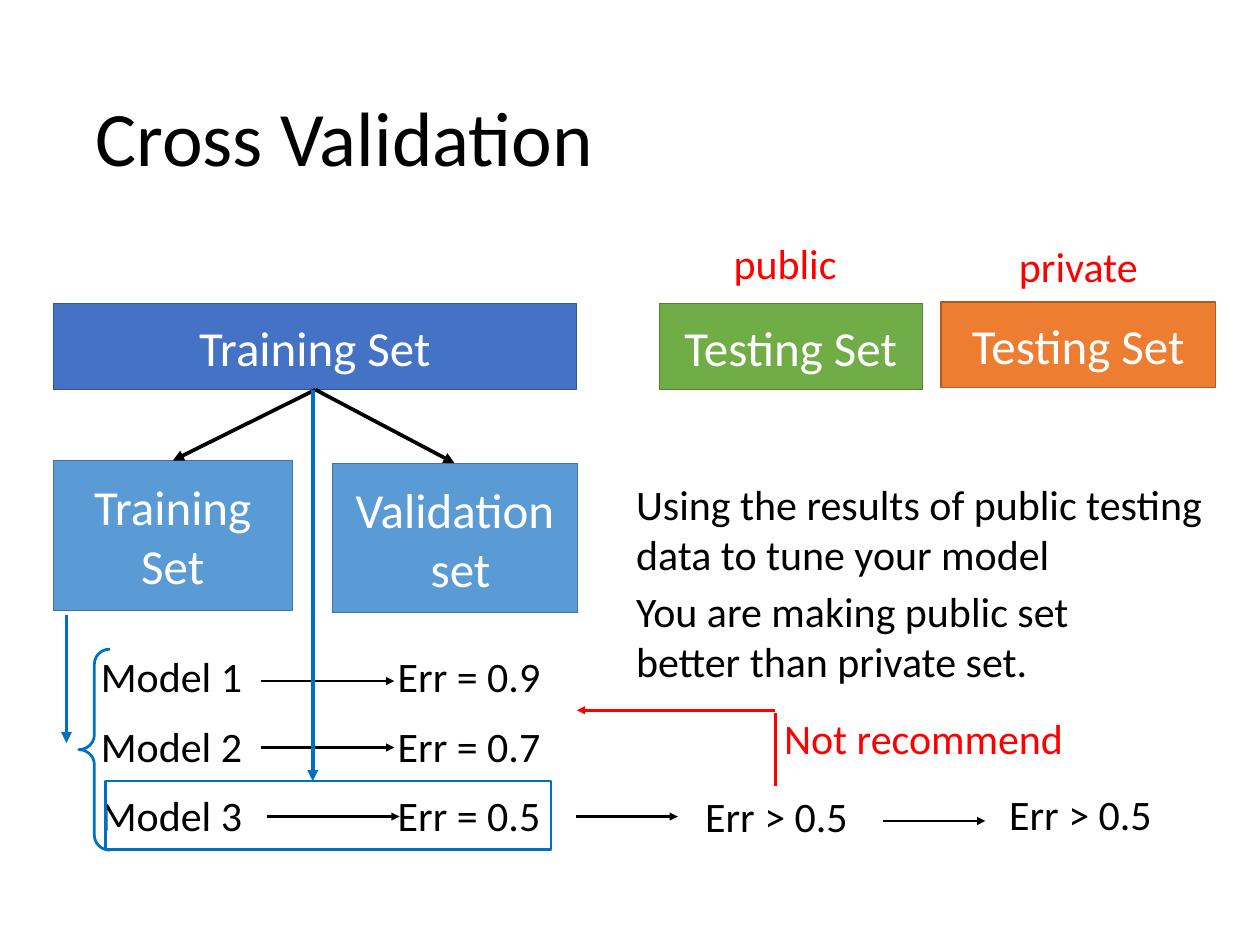
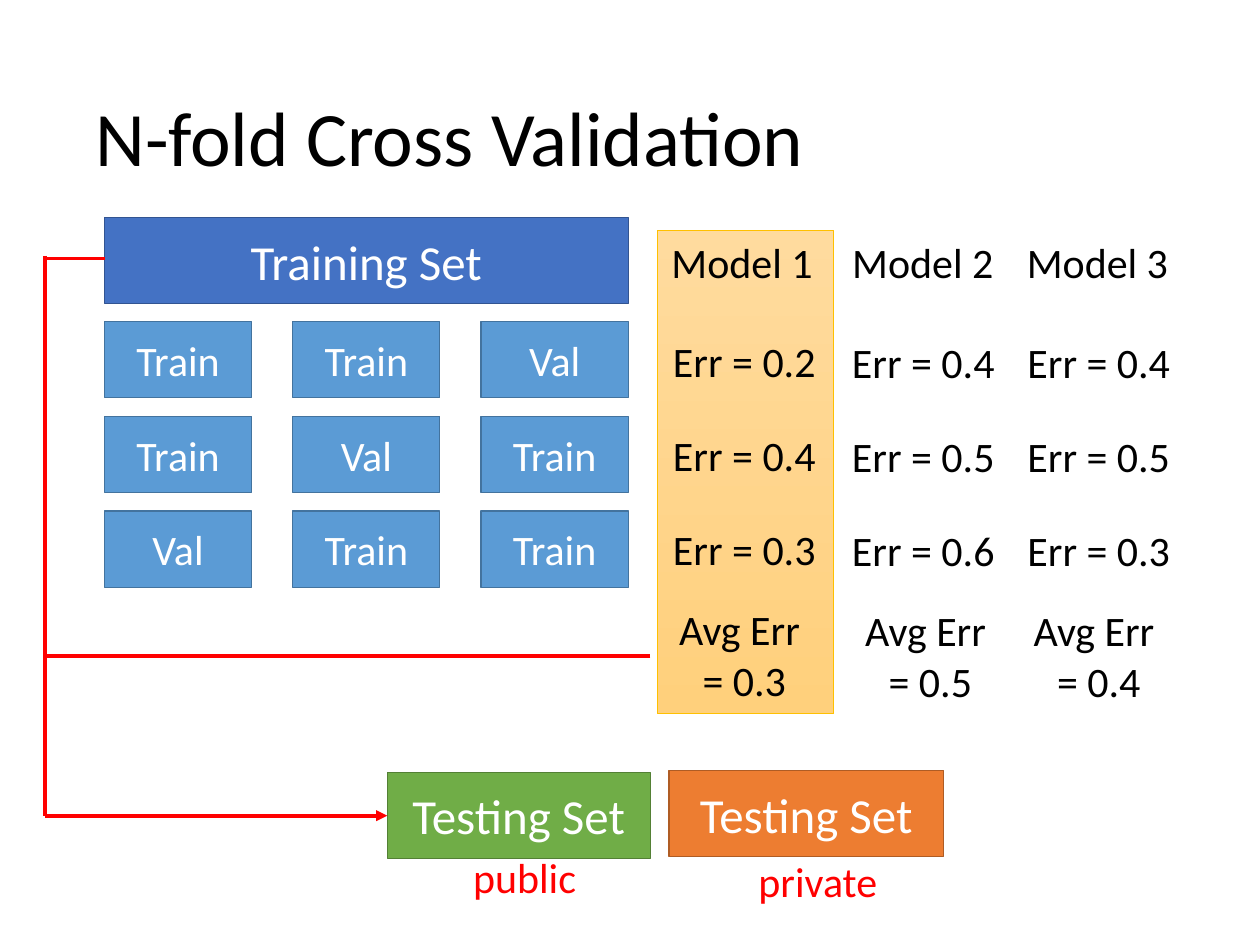
from dataclasses import dataclass
from typing import Optional

from lxml.etree import SubElement
from pptx import Presentation
from pptx.dml.color import RGBColor
from pptx.enum.shapes import MSO_CONNECTOR, MSO_SHAPE
from pptx.enum.text import MSO_ANCHOR, PP_ALIGN
from pptx.oxml.ns import qn
from pptx.shapes.autoshape import Shape
from pptx.slide import Slide
from pptx.text.text import TextFrame
from pptx.util import Emu, Inches, Pt

# Grid: square cells, counted in columns and rows from the top left
CELL = Inches(1)
COLUMNS, ROWS = 14.22, 10.67

# Shared look
FONT = "Calibri"
TITLE_SIZE, HEADING_SIZE, BODY_SIZE = 62.6, 39.8, 34.1
BLACK, WHITE, RED, BLUE = "000000", "FFFFFF", "FF0000", "0070C0"
THIN, THICK = 2.25, 3
LABEL_ROWS = 0.68
BAND_ROWS = 0.97
ERROR_COLUMNS = 2.12
MODEL_COLUMNS = 1.96


@dataclass(frozen=True)
class Paint:
    fill: str
    outline: str


TRAINING = Paint("4472C4", "325491")
SPLIT = Paint("5B9BD5", "43739E")
PUBLIC = Paint("70AD47", "538035")
PRIVATE = Paint("ED7D31", "AF5C24")


@dataclass(frozen=True)
class Area:
    column: float
    row: float
    columns: float
    rows: float = LABEL_ROWS

    def emu(self) -> tuple[Emu, Emu, Emu, Emu]:
        return (cells(self.column), cells(self.row),
                cells(self.columns), cells(self.rows))


@dataclass(frozen=True)
class Arrow:
    start: tuple[float, float]
    end: tuple[float, float]
    color: str = BLACK
    width: float = THIN
    head: bool = True


@dataclass(frozen=True)
class ModelRow:
    model: str
    error: str
    row: float
    arrow_column: float
    arrow_row: float


@dataclass(frozen=True)
class ModelColumn:
    model: str
    errors: tuple[str, str, str]
    average: str
    model_column: float
    error_column: float
    average_column: float
    first_error_row: float


def cells(count: float) -> Emu:
    return Emu(round(count * CELL))


def rgb(code: str) -> RGBColor:
    return RGBColor.from_string(code)


def write(frame: TextFrame, lines: tuple[str, ...], size: float, color: str,
          align: PP_ALIGN, spacing: Optional[float] = None) -> None:
    frame.word_wrap = True
    for index, line in enumerate(lines):
        paragraph = frame.add_paragraph() if index else frame.paragraphs[0]
        paragraph.alignment = align
        if spacing:
            paragraph.line_spacing = spacing
        run = paragraph.add_run()
        run.text = line
        run.font.name = FONT
        run.font.size = Pt(size)
        run.font.color.rgb = rgb(color)


def add_label(slide: Slide, area: Area, *lines: str, color: str = BLACK,
              align: PP_ALIGN = PP_ALIGN.LEFT) -> None:
    box = slide.shapes.add_textbox(*area.emu())
    write(box.text_frame, lines, BODY_SIZE, color, align)


def add_title(slide: Slide, title: str) -> None:
    box = slide.shapes.add_textbox(*Area(0.98, 0.57, 12.27, 2.06).emu())
    box.text_frame.vertical_anchor = MSO_ANCHOR.MIDDLE
    write(box.text_frame, (title,), TITLE_SIZE, BLACK, PP_ALIGN.LEFT, 0.9)


def add_outline(slide: Slide, area: Area, color: str, width: float,
                preset: MSO_SHAPE = MSO_SHAPE.RECTANGLE) -> Shape:
    shape = slide.shapes.add_shape(preset, *area.emu())
    shape.shadow.inherit = False
    shape.fill.background()
    shape.line.color.rgb = rgb(color)
    shape.line.width = Pt(width)
    return shape


def add_block(slide: Slide, area: Area, paint: Paint, *lines: str,
              size: float = HEADING_SIZE) -> None:
    block = add_outline(slide, area, paint.outline, 1)
    block.fill.solid()
    block.fill.fore_color.rgb = rgb(paint.fill)
    block.text_frame.vertical_anchor = MSO_ANCHOR.MIDDLE
    write(block.text_frame, lines, size, WHITE, PP_ALIGN.CENTER)


def add_arrow(slide: Slide, arrow: Arrow) -> None:
    ends = [cells(place) for place in arrow.start + arrow.end]
    line = slide.shapes.add_connector(MSO_CONNECTOR.STRAIGHT, *ends)
    line.line.color.rgb = rgb(arrow.color)
    line.line.width = Pt(arrow.width)
    if arrow.head:
        SubElement(line.line._get_or_add_ln(), qn("a:tailEnd"), type="triangle")
    SubElement(line._element.spPr, qn("a:effectLst"))


def add_testing_sets(slide: Slide, column: float, row: float,
                     label_column: float, label_row: float) -> None:
    add_block(slide, Area(column, row, 2.97, BAND_ROWS), PUBLIC, "Testing Set")
    add_block(slide, Area(column + 3.18, row - 0.02, 3.1, BAND_ROWS), PRIVATE,
              "Testing Set")
    for index, name in enumerate(("public", "private")):
        area = Area(label_column + 3.31 * index, label_row + 0.04 * index, 2.84)
        add_label(slide, area, name, color=RED, align=PP_ALIGN.CENTER)


def build_cross_validation(slide: Slide) -> None:
    add_title(slide, "Cross Validation")

    # Data sets and the split of the training set
    add_block(slide, Area(0.6, 3.43, 5.91, BAND_ROWS), TRAINING, "Training Set")
    add_testing_sets(slide, 7.44, 3.43, 7.44, 2.63)
    add_block(slide, Area(0.6, 5.2, 2.7, 1.69), SPLIT, "Training Set")
    add_block(slide, Area(3.75, 5.23, 2.77, 1.69), SPLIT, "Validation", " set")

    # Models with their validation errors
    models = (
        ModelRow("Model 1", "Err = 0.9", 7.3, 2.95, 7.69),
        ModelRow("Model 2", "Err = 0.7", 8.09, 2.95, 8.44),
        ModelRow("Model 3", "Err = 0.5", 8.87, 3.01, 9.22),
    )
    for entry in models:
        add_label(slide, Area(1.04, entry.row, MODEL_COLUMNS), entry.model)
        add_label(slide, Area(4.39, entry.row, ERROR_COLUMNS), entry.error)
        add_arrow(slide, Arrow((entry.arrow_column, entry.arrow_row),
                               (entry.arrow_column + 1.5, entry.arrow_row)))
    brace = add_outline(slide, Area(0.89, 7.33, 0.35, 2.27), BLUE, THIN,
                        MSO_SHAPE.LEFT_BRACE)
    brace.adjustments[0] = 0.48
    add_outline(slide, Area(1.19, 8.82, 5.03, 0.77), BLUE, THIN)

    # Errors on the public and private testing sets
    for column, row in ((7.86, 8.88), (11.29, 8.85)):
        add_label(slide, Area(column, row, ERROR_COLUMNS), "Err > 0.5")

    # Flow from split to models to testing, and the way back
    for arrow in (
        Arrow((3.56, 4.4), (1.95, 5.2), width=THICK),
        Arrow((3.56, 4.4), (5.13, 5.23), width=THICK),
        Arrow((6.5, 9.22), (7.65, 9.22)),
        Arrow((9.97, 9.27), (11.12, 9.27)),
        Arrow((0.75, 6.94), (0.75, 8.39), BLUE, THICK),
        Arrow((3.53, 4.4), (3.53, 8.82), BLUE, THICK),
        Arrow((8.75, 8.88), (8.75, 8.05), RED, head=False),
        Arrow((8.75, 8.02), (6.51, 8.02), RED),
    ):
        add_arrow(slide, arrow)

    # Advice
    add_label(slide, Area(7.08, 5.35, 6.84, 1.25),
              "Using the results of public testing data to tune your model")
    add_label(slide, Area(7.08, 6.56, 5.81, 1.25),
              "You are making public set better than private set.")
    add_label(slide, Area(8.75, 8, 3.91), "Not recommend", color=RED)


def build_n_fold(slide: Slide) -> None:
    # Highlight behind the best model
    best = add_outline(slide, Area(7.42, 2.6, 1.99, 5.46), "FFC000", 0.5)
    best.fill.gradient()
    best.fill.gradient_angle = 270
    for stop, color in zip(best.fill.gradient_stops, ("FFDB9E", "FFD07C")):
        stop.color.rgb = rgb(color)

    add_title(slide, "N-fold Cross Validation")

    # Folds: the validation part moves one place left in each row
    add_block(slide, Area(1.18, 2.46, 5.91, BAND_ROWS), TRAINING, "Training Set")
    folds = 3
    for fold in range(folds):
        for part in range(folds):
            role = "Val" if fold + part == folds - 1 else "Train"
            area = Area(1.18 + 2.125 * part, 3.63 + 1.07 * fold, 1.66, 0.86)
            add_block(slide, area, SPLIT, role, size=BODY_SIZE)

    # Errors of each model per fold, and their average
    for entry in (
        ModelColumn("Model 1", ("0.2", "0.4", "0.3"), "0.3",
                    7.48, 7.34, 7.34, 3.74),
        ModelColumn("Model 2", ("0.4", "0.5", "0.6"), "0.5",
                    9.52, 9.36, 9.44, 3.75),
        ModelColumn("Model 3", ("0.4", "0.5", "0.3"), "0.4",
                    11.49, 11.34, 11.34, 3.75),
    ):
        add_label(slide, Area(entry.model_column, 2.62, MODEL_COLUMNS),
                  entry.model)
        for fold, error in enumerate(entry.errors):
            area = Area(entry.error_column, entry.first_error_row + 1.06 * fold,
                        ERROR_COLUMNS)
            add_label(slide, area, f"Err = {error}", align=PP_ALIGN.CENTER)
        area = Area(entry.average_column, entry.first_error_row + 3.03,
                    ERROR_COLUMNS, 1.25)
        add_label(slide, area, "Avg Err ", f"= {entry.average}",
                  align=PP_ALIGN.CENTER)

    # Testing sets and the path that leads to them
    add_testing_sets(slide, 4.37, 8.72, 4.5, 9.57)
    trunk, bottom = 0.51, 9.21
    for arrow in (
        Arrow((trunk, 2.89), (trunk, bottom), RED, THICK, False),
        Arrow((7.34, 7.41), (trunk, 7.41), RED, THICK, False),
        Arrow((1.18, 2.92), (trunk, 2.92), RED, THICK, False),
        Arrow((trunk, bottom), (4.37, bottom), RED, THICK),
    ):
        add_arrow(slide, arrow)


def main() -> None:
    deck = Presentation()
    deck.slide_width, deck.slide_height = cells(COLUMNS), cells(ROWS)
    blank = deck.slide_layouts[6]
    for build in (build_cross_validation, build_n_fold):
        build(deck.slides.add_slide(blank))
    deck.save("out.pptx")


if __name__ == "__main__":
    main()
